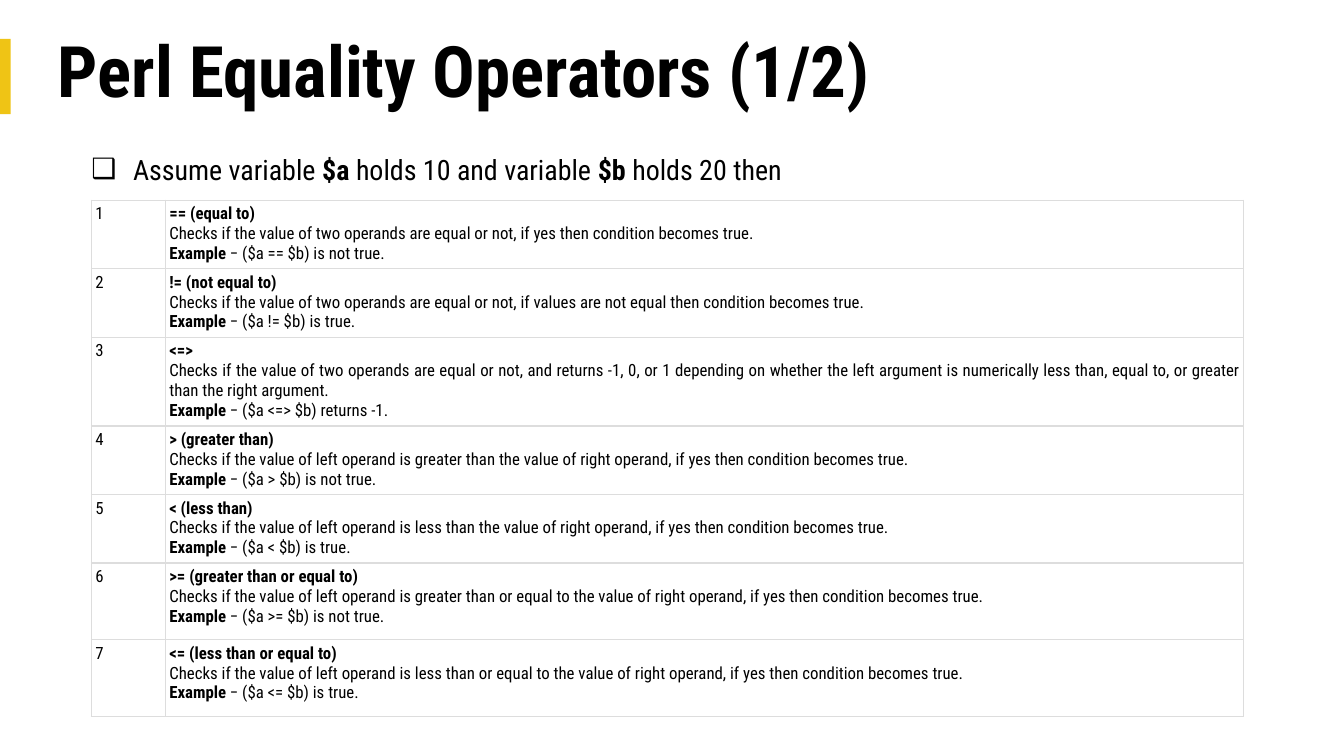
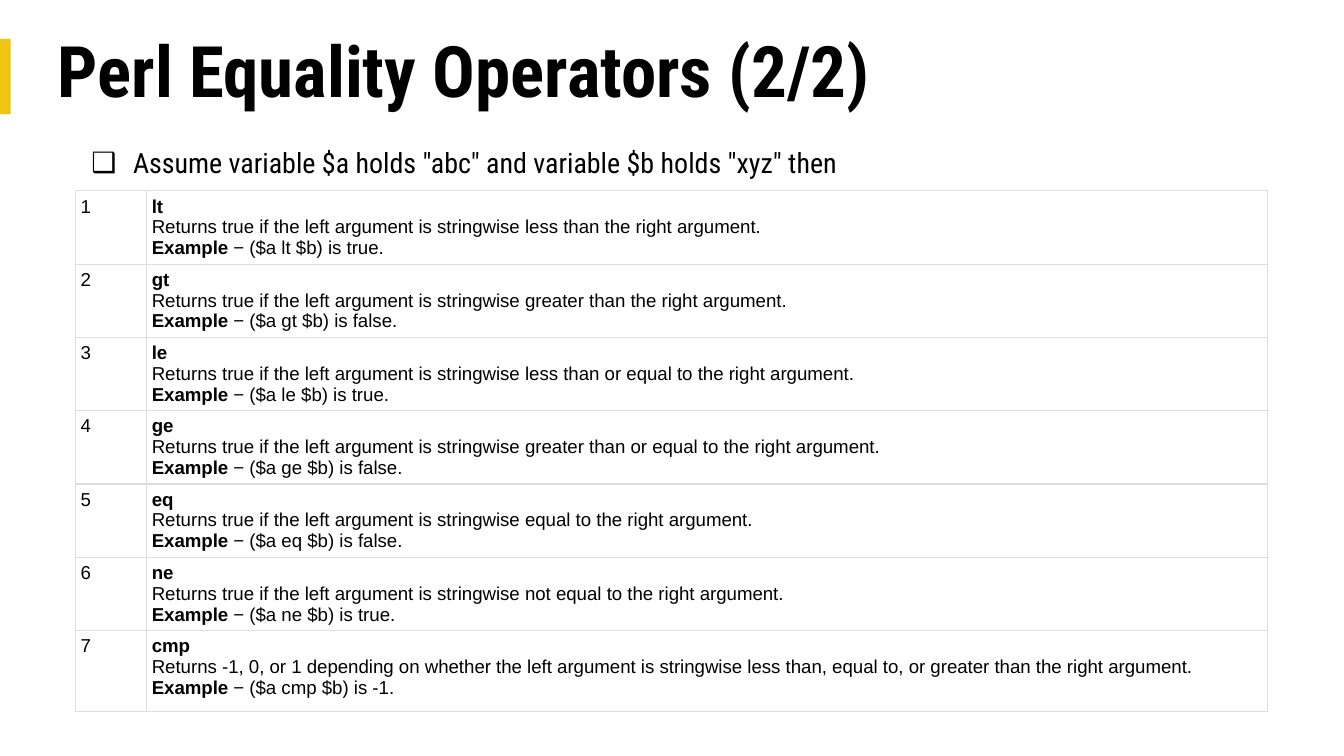
from lxml import etree
from pptx import Presentation
from pptx.dml.color import RGBColor
from pptx.enum.shapes import MSO_SHAPE
from pptx.enum.text import MSO_ANCHOR, MSO_AUTO_SIZE, PP_ALIGN
from pptx.oxml.ns import qn
from pptx.util import Inches, Pt

RECTANGLE = MSO_SHAPE.RECTANGLE
MIDDLE, TOP = MSO_ANCHOR.MIDDLE, MSO_ANCHOR.TOP
LEFT, JUSTIFY = PP_ALIGN.LEFT, PP_ALIGN.JUSTIFY
NO_AUTOFIT = MSO_AUTO_SIZE.NONE
TITLE_ONLY = 5

COLORS = {"text": "000000", "accent": "EFC415", "border": "DDDDDD"}
HEADING_FONT = "Roboto Condensed"
BODY_FONT = "Arial"
BORDER_WIDTH = Pt(0.75)

# Operator, description, example
NUMERIC_OPERATORS = [
    ("== (equal to)",
     "Checks if the value of two operands are equal or not, if yes then condition becomes true.",
     "($a == $b) is not true."),
    ("!= (not equal to)",
     "Checks if the value of two operands are equal or not, if values are not equal "
     "then condition becomes true.",
     "($a != $b) is true."),
    ("<=>",
     "Checks if the value of two operands are equal or not, and returns -1, 0, or 1 "
     "depending on whether the left argument is numerically less than, equal to, "
     "or greater than the right argument.",
     "($a <=> $b) returns -1."),
    ("> (greater than)",
     "Checks if the value of left operand is greater than the value of right operand, "
     "if yes then condition becomes true.",
     "($a > $b) is not true."),
    ("< (less than)",
     "Checks if the value of left operand is less than the value of right operand, "
     "if yes then condition becomes true.",
     "($a < $b) is true."),
    (">= (greater than or equal to)",
     "Checks if the value of left operand is greater than or equal to the value of "
     "right operand, if yes then condition becomes true.",
     "($a >= $b) is not true."),
    ("<= (less than or equal to)",
     "Checks if the value of left operand is less than or equal to the value of "
     "right operand, if yes then condition becomes true.",
     "($a <= $b) is true."),
]

STRING_OPERATORS = [
    ("lt",
     "Returns true if the left argument is stringwise less than the right argument.",
     "($a lt $b) is true."),
    ("gt",
     "Returns true if the left argument is stringwise greater than the right argument.",
     "($a gt $b) is false."),
    ("le",
     "Returns true if the left argument is stringwise less than or equal to the right argument.",
     "($a le $b) is true."),
    ("ge",
     "Returns true if the left argument is stringwise greater than or equal to the right argument.",
     "($a ge $b) is false."),
    ("eq",
     "Returns true if the left argument is stringwise equal to the right argument.",
     "($a eq $b) is false."),
    ("ne",
     "Returns true if the left argument is stringwise not equal to the right argument.",
     "($a ne $b) is true."),
    ("cmp",
     "Returns -1, 0, or 1 depending on whether the left argument is stringwise less than, "
     "equal to, or greater than the right argument.",
     "($a cmp $b) is -1."),
]


def color(name):
    return RGBColor.from_string(COLORS[name])


def style_font(paragraph, font_name, size):
    paragraph.font.name = font_name
    paragraph.font.size = Pt(size)
    paragraph.font.color.rgb = color("text")


def add_runs(paragraph, runs):
    for text, bold in runs:
        run = paragraph.add_run()
        run.text = text
        run.font.bold = bold


def set_frame(frame, anchor):
    frame.word_wrap = True
    frame.auto_size = NO_AUTOFIT
    frame.vertical_anchor = anchor
    frame.margin_left = frame.margin_right = Inches(0.07)
    frame.margin_top = frame.margin_bottom = Inches(0.04)


def add_titled_slide(prs, title_text):
    slide = prs.slides.add_slide(prs.slide_layouts[TITLE_ONLY])
    # Accent bar at the left edge
    bar = slide.shapes.add_shape(
        RECTANGLE, Inches(-0.24), Inches(0.53), Inches(0.56), Inches(0.08))
    bar.rotation = 90
    bar.shadow.inherit = False
    bar.fill.solid()
    bar.fill.fore_color.rgb = color("accent")
    bar.line.fill.background()
    # Title
    title = slide.shapes.title
    title.left, title.top = Inches(0.36), Inches(0.21)
    title.width, title.height = Inches(9.28), Inches(0.69)
    set_frame(title.text_frame, MIDDLE)
    heading = title.text_frame.paragraphs[0]
    heading.alignment = LEFT
    heading.line_spacing = 0.9
    style_font(heading, HEADING_FONT, 38)
    add_runs(heading, [(title_text, True)])
    return slide


def add_bullet(paragraph, symbol):
    props = paragraph._p.get_or_add_pPr()
    props.set("marL", str(Inches(0.56)))
    props.set("indent", str(Inches(-0.31)))
    bullet_color = etree.SubElement(props, qn("a:buClr"))
    etree.SubElement(bullet_color, qn("a:srgbClr"), val=COLORS["text"])
    etree.SubElement(props, qn("a:buFont"), typeface=BODY_FONT)
    etree.SubElement(props, qn("a:buChar"), char=symbol)


def add_assumption(slide, top, runs):
    box = slide.shapes.add_textbox(Inches(0.36), Inches(top), Inches(9.28), Inches(4.26))
    set_frame(box.text_frame, TOP)
    assumption = box.text_frame.paragraphs[0]
    assumption.line_spacing = 1.14
    add_bullet(assumption, "❑")
    style_font(assumption, HEADING_FONT, 15)
    add_runs(assumption, runs)


def add_borders(cell):
    props = cell._tc.get_or_add_tcPr()
    for position, side in enumerate(("lnL", "lnR", "lnT", "lnB")):
        line = etree.Element(qn(f"a:{side}"), w=str(BORDER_WIDTH))
        fill = etree.SubElement(line, qn("a:solidFill"))
        etree.SubElement(fill, qn("a:srgbClr"), val=COLORS["border"])
        props.insert(position, line)


def fill_cell(cell, lines, alignment, font_name, size, margin):
    cell.margin_left = cell.margin_right = Inches(margin)
    cell.margin_top = cell.margin_bottom = Inches(margin)
    cell.vertical_anchor = TOP
    cell.fill.background()
    add_borders(cell)
    frame = cell.text_frame
    for index, runs in enumerate(lines):
        paragraph = frame.add_paragraph() if index else frame.paragraphs[0]
        paragraph.alignment = alignment
        style_font(paragraph, font_name, size)
        add_runs(paragraph, runs)


def add_operator_table(slide, operators, left, top, widths, heights, **text_style):
    table = slide.shapes.add_table(
        len(operators), len(widths), Inches(left), Inches(top),
        Inches(sum(widths)), Inches(sum(heights))).table
    table.first_row = table.horz_banding = False
    for column, width in zip(table.columns, widths):
        column.width = Inches(width)
    for index, (operator, description, example) in enumerate(operators):
        table.rows[index].height = Inches(heights[index])
        fill_cell(table.cell(index, 0), [[(str(index + 1), False)]], LEFT, **text_style)
        details = [
            [(operator, True)],
            [(description, False)],
            [("Example", True), (f" − {example}", False)],
        ]
        fill_cell(table.cell(index, 1), details, JUSTIFY, **text_style)


def main():
    prs = Presentation()
    prs.slide_width = Inches(10)
    prs.slide_height = prs.slide_width * 9 // 16

    # Numeric operators
    numeric = add_titled_slide(prs, "Perl Equality Operators (1/2)")
    add_assumption(numeric, 1.06, [
        ("Assume variable ", False), ("$a ", True),
        ("holds 10 and variable ", False), ("$b ", True), ("holds 20 then", False)])
    add_operator_table(
        numeric, NUMERIC_OPERATORS, 0.68, 1.49, [0.55, 8.02],
        [0.51, 0.51, 0.66, 0.51, 0.51, 0.57, 0.57],
        font_name=HEADING_FONT, size=9, margin=0.03)

    # String operators
    string = add_titled_slide(prs, "Perl Equality Operators (2/2)")
    add_assumption(string, 1.01, [
        ('Assume variable $a holds "abc" and variable $b holds "xyz" then', False)])
    add_operator_table(
        string, STRING_OPERATORS, 0.56, 1.42, [0.53, 8.34],
        [0.44, 0.51, 0.51, 0.51, 0.44, 0.51, 0.6],
        font_name=BODY_FONT, size=10, margin=0.04)

    prs.save("out.pptx")


if __name__ == "__main__":
    main()
